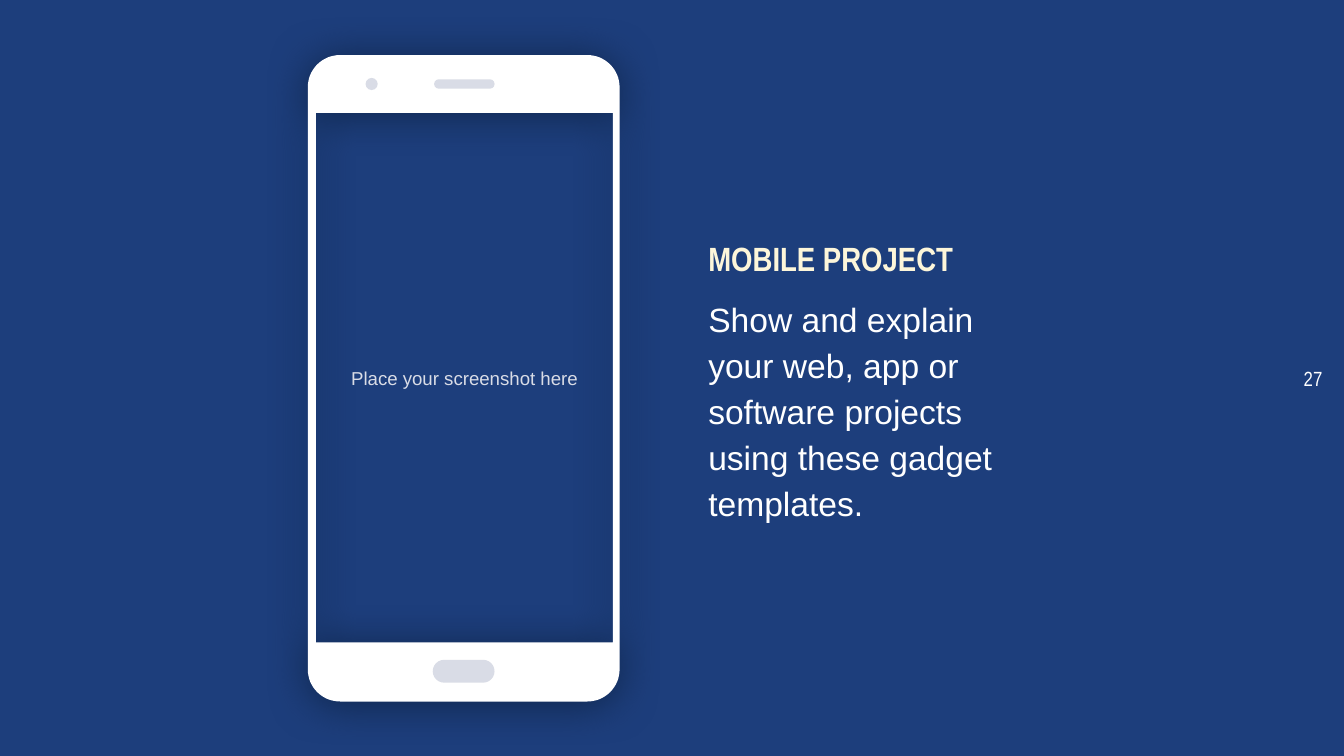
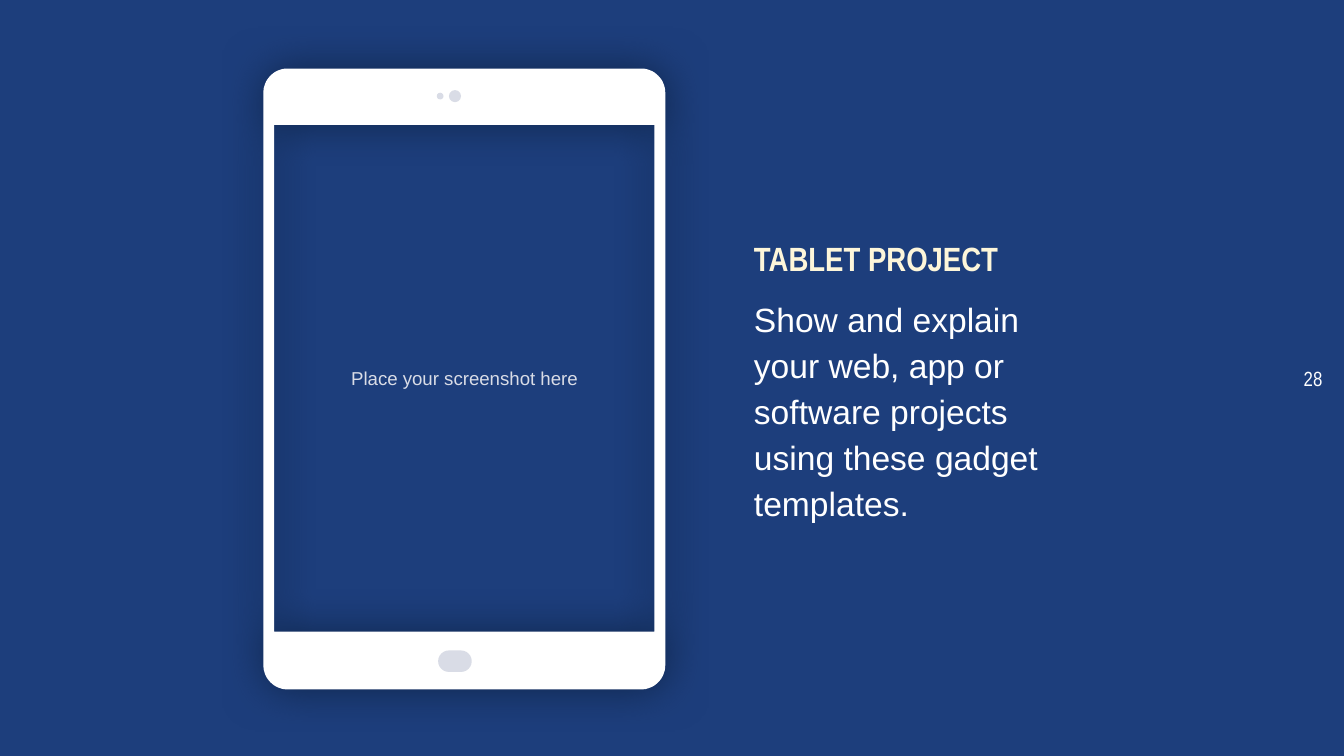
import math

from lxml import etree
from pptx import Presentation, util as u
from pptx.dml.color import RGBColor
from pptx.enum import shapes, text
from pptx.oxml import ns

WIDTH = 10
HEIGHT = WIDTH * 9 / 16
NAVY, WHITE, CREAM, GREY, SHADOW = "1D3E7C", "FFFFFF", "FDF6DA", "D9DCE6", "010E1B"
UNITS = 1000  # freeform units per inch
TEXT_GAP, TEXT_WIDTH, TEXT_HEIGHT = 0.66, 2.43, 4.81

# Content: one device per slide, boxes as left, top, width, height
DESCRIPTION = "Show and explain your web, app or software projects using these gadget templates."
SCREEN_LABEL = "Place your screenshot here"
DEVICES = [
    {"number": 27, "heading": "MOBILE PROJECT",
     "frame": (2.29, 0.41, 2.32, 4.81), "radius": 0.24,
     "screen": (2.35, 0.84, 2.21, 3.94), "shadow": (1.5, 90),
     "pills": [(3.22, 4.91, 0.46, 0.17), (3.23, 0.59, 0.45, 0.07)],
     "dots": [(2.72, 0.58, 0.09, 0.09)]},
    {"number": 28, "heading": "TABLET PROJECT",
     "frame": (1.96, 0.51, 2.99, 4.62), "radius": 0.18,
     "screen": (2.04, 0.93, 2.83, 3.77), "shadow": (0.8, 0),
     "pills": [(3.26, 4.84, 0.25, 0.16)],
     "dots": [(3.25, 0.69, 0.05, 0.05), (3.34, 0.67, 0.09, 0.09)]},
]

# Text formats
HEADING = {"name": "Arial Narrow", "size": u.Pt(18), "bold": True, "color": CREAM}
BODY = {"name": "Arial", "size": u.Pt(18), "bold": False, "color": WHITE}
LABEL = {"name": "Arial", "size": u.Pt(10), "color": GREY}
NUMBER = {"name": "Arial Narrow", "size": u.Pt(11), "color": WHITE}


def color(value):
    return RGBColor.from_string(value)


def inches(box):
    return [u.Inches(length) for length in box]


def paint(shape, value):
    shape.fill.solid()
    shape.fill.fore_color.rgb = color(value)
    shape.line.fill.background()
    shape.shadow.inherit = False


def write(paragraph, words, font_format, **paragraph_format):
    run = paragraph.add_run()
    run.text = words
    for name, value in font_format.items():
        if name == "color":
            run.font.color.rgb = color(value)
        else:
            setattr(run.font, name, value)
    for name, value in paragraph_format.items():
        setattr(paragraph, name, value)


def set_frame(shape, margin=0):
    frame = shape.text_frame
    frame_format = {"word_wrap": True, "auto_size": text.MSO_AUTO_SIZE.NONE,
                    "vertical_anchor": text.MSO_ANCHOR.MIDDLE}
    for side in ("left", "top", "right", "bottom"):
        frame_format[f"margin_{side}"] = u.Inches(margin)
    for name, value in frame_format.items():
        setattr(frame, name, value)
    return frame


def add_label(slide, box, words, font_format, alignment, margin=0):
    frame = set_frame(slide.shapes.add_textbox(*inches(box)), margin)
    write(frame.paragraphs[0], words, font_format, alignment=alignment)


def rounded_outline(box, radius, steps=16):
    """Points around a rounded rectangle, clockwise from the top left corner."""
    left, top, width, height = box
    right, bottom = left + width - radius, top + height - radius
    left, top = left + radius, top + radius
    centers = [(left, top), (right, top), (right, bottom), (left, bottom)]
    points = []
    for corner, (x, y) in enumerate(centers):
        for step in range(steps + 1):
            angle = math.pi + (corner + step / steps) * math.pi / 2
            points.append((x + radius * math.cos(angle), y + radius * math.sin(angle)))
    return points


def screen_outline(box):
    """Corners counterclockwise, so that the screen is a hole in the frame."""
    left, top, width, height = box
    return [(left, top), (left, top + height),
            (left + width, top + height), (left + width, top)]


def add_shadow(shape, distance, direction):
    effects = shape.element.spPr.find(ns.qn("a:effectLst"))
    outer = etree.SubElement(effects, ns.qn("a:outerShdw"), {
        "blurRad": str(u.Pt(22.5)), "dist": str(u.Pt(distance)),
        "dir": str(direction * 60000), "algn": "bl", "rotWithShape": "0"})
    tint = etree.SubElement(outer, ns.qn("a:srgbClr"), val=SHADOW)
    etree.SubElement(tint, ns.qn("a:alpha"), val="50000")


def add_device(slide, device):
    group = slide.shapes.add_group_shape()
    case, screen = [[(x * UNITS, y * UNITS) for x, y in outline] for outline in (
        rounded_outline(device["frame"], device["radius"]),
        screen_outline(device["screen"]))]
    builder = group.shapes.build_freeform(*case[0], scale=u.Inches(1) / UNITS)
    builder.add_line_segments(case[1:], close=True)
    builder.move_to(*screen[0])
    builder.add_line_segments(screen[1:], close=True)
    body = builder.convert_to_shape()
    paint(body, WHITE)
    add_shadow(body, *device["shadow"])

    # Buttons, speaker and cameras
    for kind, boxes in ((shapes.MSO_SHAPE.ROUNDED_RECTANGLE, device["pills"]),
                        (shapes.MSO_SHAPE.OVAL, device["dots"])):
        for box in boxes:
            detail = group.shapes.add_shape(kind, *inches(box))
            paint(detail, GREY)
            if kind == shapes.MSO_SHAPE.ROUNDED_RECTANGLE:
                detail.adjustments[0] = 0.5


def add_description(slide, device):
    left, _, width, _ = device["frame"]
    placeholder = slide.placeholders[1]
    box = (left + width + TEXT_GAP, (HEIGHT - TEXT_HEIGHT) / 2, TEXT_WIDTH, TEXT_HEIGHT)
    for name, value in zip(("left", "top", "width", "height"), inches(box)):
        setattr(placeholder, name, value)
    frame = set_frame(placeholder)
    write(frame.paragraphs[0], device["heading"], HEADING, line_spacing=1.14,
          space_before=u.Pt(0), space_after=u.Pt(0))
    write(frame.add_paragraph(), DESCRIPTION, BODY, line_spacing=1.14,
          space_before=u.Pt(8), space_after=u.Pt(8))


def add_slide(presentation, device):
    # The section layout has a body without bullets; the heading sits in it
    slide = presentation.slides.add_slide(presentation.slide_layouts[2])
    title = slide.shapes.title.element
    title.getparent().remove(title)
    add_description(slide, device)
    add_label(slide, device["screen"], SCREEN_LABEL, LABEL, text.PP_ALIGN.CENTER, 0.1)
    add_label(slide, (9.24, 0, 0.6, HEIGHT), str(device["number"]), NUMBER,
              text.PP_ALIGN.RIGHT)
    add_device(slide, device)


def main():
    presentation = Presentation()
    presentation.slide_width, presentation.slide_height = inches((WIDTH, HEIGHT))
    background = presentation.slide_master.background.fill
    background.solid()
    background.fore_color.rgb = color(NAVY)
    for device in DEVICES:
        add_slide(presentation, device)
    presentation.save("out.pptx")


if __name__ == "__main__":
    main()
